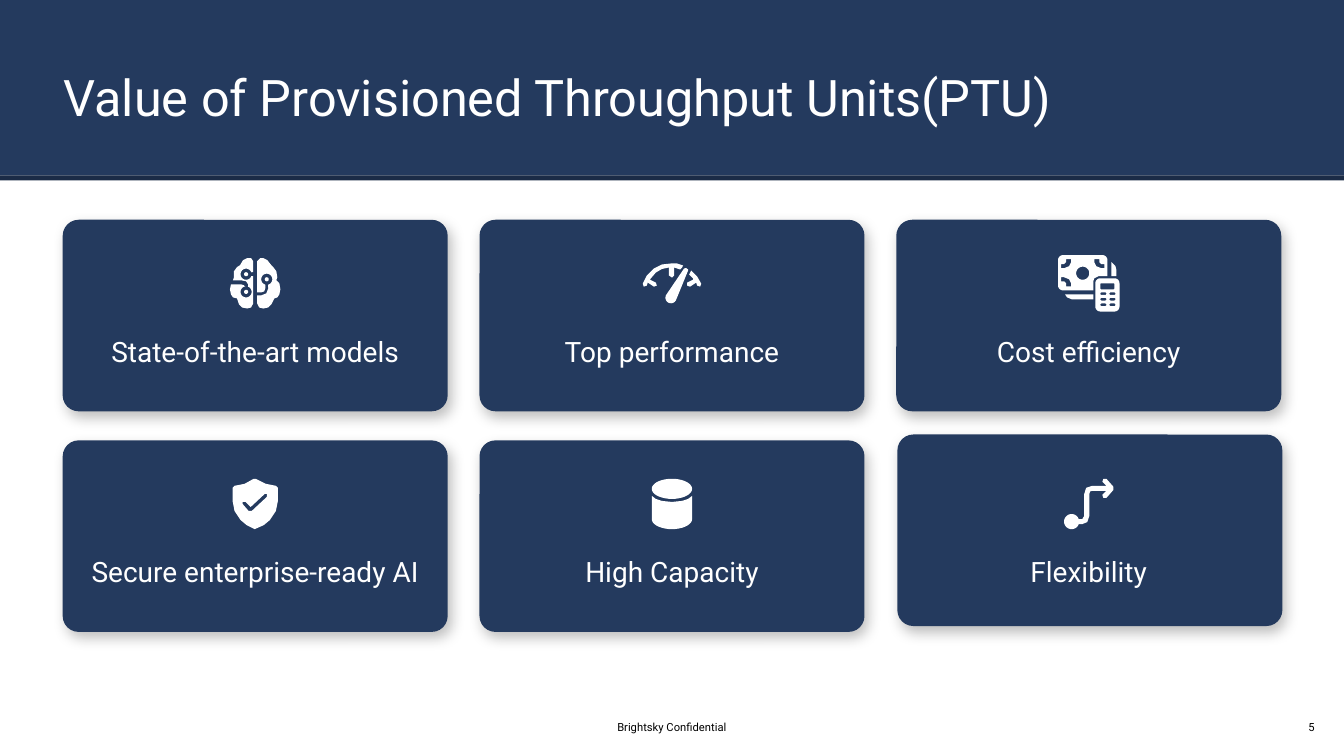
import math

from lxml import etree
from pptx import Presentation
from pptx.dml.color import RGBColor
from pptx.enum import shapes, text
from pptx.oxml import ns
from pptx.util import Pt

COLORS = {"navy": "243A5E", "dark": "1B2B46", "white": "FFFFFF", "black": "000000"}
FONT = "Roboto"
ICON_UNIT = 0.72  # icon outlines are drawn in hundredths of an inch
CARD_WIDTH, CARD_HEIGHT = 275, 136.8
CARD_LEFT, CARD_TOP = 44.8, 157
COLUMN_STEP, ROW_STEP = 297.7, 157.6
LAST_CARD_SHIFT = (0.8, -4.2)


def arc(cx, cy, rx, ry=None, start=0, end=360):
    """Points along an ellipse; angles in degrees, clockwise from the right."""
    ry = ry or rx
    steps = max(4, round(abs(end - start) / 10))
    angles = [math.radians(start + (end - start) * i / steps) for i in range(steps + 1)]
    return [(cx + rx * math.cos(a), cy + ry * math.sin(a)) for a in angles]


def rounded(x, y, width, height, r):
    return (arc(x + r, y + r, r, start=180, end=270)
            + arc(x + width - r, y + r, r, start=270, end=360)
            + arc(x + width - r, y + height - r, r, start=0, end=90)
            + arc(x + r, y + height - r, r, start=90, end=180))


def brain():
    left = ([(21, 0), (23, 3), (23, 14), (21, 14)] + arc(16, 16, 5.5, start=-20, end=-340)
            + [(23, 18), (23, 45), (21, 49), (17, 50), (12, 49), (9, 46), (7, 40), (3, 39),
               (1, 36), (0, 31), (1, 26), (11, 26), (14, 27), (15, 29)]
            + arc(16, 33.5, 5.5, start=-100, end=-430)
            + [(18, 26), (16, 23), (11, 22), (3, 22), (4, 19), (4, 13), (7, 9), (10, 7),
               (13, 2), (17, 0)])
    right = ([(27, 37), (31, 37), (36, 35), (38, 30)] + arc(36.5, 21, 5.5, start=75, end=-255)
             + [(35, 30), (34, 33), (31, 34), (27, 34), (27, 3), (30, 0), (33, 0), (37, 2),
                (41, 7), (43, 9), (46, 13), (47, 19), (46, 22), (49, 25), (50, 31), (49, 36),
                (47, 39), (44, 40), (41, 46), (38, 49), (33, 50), (29, 49), (27, 45)])
    return [left, right, arc(16, 16, 2), arc(16, 33.5, 2), arc(36.5, 21, 2)]


def gauge():
    needle = [(42, 5), (44, 4.5), (46, 6), (46, 7)] + arc(29, 34, 5.5, start=20, end=215)
    right_tick = [(49, 7), (55, 13), (59, 20), (58, 23), (55, 22), (54, 19), (48, 23),
                  (45, 22), (45, 19), (51, 16), (51, 15), (47, 11)]
    dial = [(41, 2), (40, 4), (38, 6), (32, 4), (32, 12), (30, 14), (27, 12), (27, 4),
            (20, 5.5), (14, 9), (8, 16), (14, 19), (15, 22), (12, 23), (6, 19), (5, 22),
            (2, 23), (1, 20), (5, 12), (12, 5), (20, 1), (29, 0), (35, 0)]
    return [needle, right_tick, dial]


def cash():
    note = (arc(5, 5, 5, start=180, end=270) + arc(44, 5, 5, start=270, end=360)
            + [(49, 21), (40, 21), (36, 23), (35, 26), (35, 35)]
            + arc(5, 30, 5, start=90, end=180))
    corner = [(8, 4), (8, 7), (6, 9), (3, 9), (3, 13), (6, 13), (11, 11), (13, 7), (13, 4)]
    corners = [corner, [(49 - x, y) for x, y in corner], [(x, 35 - y) for x, y in corner]]
    under_notes = [[(7, 39), (35, 39), (35, 44), (14, 44), (9, 42)],
                   [(53, 7), (57, 11), (58, 15), (58, 21), (53, 21)]]
    keys = [rounded(x, y, 6, 2.6, 1.3) for y in (37, 42.5, 48) for x in (42, 51)]
    calculator = [rounded(37, 23, 24, 33, 5), rounded(42, 28, 14, 6, 1)]
    return [note, arc(24.5, 18, 6.5)] + corners + under_notes + calculator + keys


def shield():
    outline = [(43, 7), (33, 5), (23, 0), (21, 0), (12, 5), (2, 7), (0, 9), (0, 22), (2, 32),
               (8, 41), (14, 46), (22, 50), (31, 46), (37, 41), (43, 32), (45, 22), (45, 9)]
    check = [(34, 18), (19, 32), (16, 32), (10, 25), (10, 23), (13, 23), (18, 28), (32, 15),
             (34, 15)]
    return [outline, check]


def cylinder():
    body = ([(40, 17)] + arc(20, 40, 20, 10, 0, 180)
            + [(0, 17), (4, 20), (10, 22), (20, 23), (30, 22), (36, 20)])
    return [arc(20, 10, 20, 10), body]


def route():
    return [[(42, 0), (39, 0), (38, 3), (42, 7), (28, 7), (22, 9), (20, 15), (20, 37), (18, 40),
             (15, 40)] + arc(7.5, 42.5, 7.5, start=-20, end=-340)
            + [(18, 45), (23, 43), (25, 37), (25, 15), (26, 12.5), (28, 12), (42, 12), (38, 16),
               (39, 19), (42, 19), (49, 11), (49, 8)]]


CARDS = [("State-of-the-art models", brain), ("Top performance", gauge),
         ("Cost efficiency", cash), ("Secure enterprise-ready AI", shield),
         ("High Capacity", cylinder), ("Flexibility", route)]


def rgb(color):
    return RGBColor.from_string(COLORS[color])


def paint(shape, color):
    shape.shadow.inherit = False
    shape.fill.solid()
    shape.fill.fore_color.rgb = rgb(color)
    shape.line.fill.background()


def add_block(page, kind, left, top, width, height, color):
    block = page.shapes.add_shape(kind, Pt(left), Pt(top), Pt(width), Pt(height))
    paint(block, color)
    return block


def write(box, words, size, color, align, anchor=text.MSO_ANCHOR.TOP):
    frame = box.text_frame
    frame.word_wrap = True
    frame.auto_size = text.MSO_AUTO_SIZE.NONE
    frame.vertical_anchor = anchor
    frame.margin_left = frame.margin_right = frame.margin_top = frame.margin_bottom = 0
    para = frame.paragraphs[0]
    para.alignment = align
    span = para.add_run()
    span.text = words
    span.font.name = FONT
    span.font.size = Pt(size)
    span.font.color.rgb = rgb(color)


def add_label(page, words, left, top, width, height, size, color, anchor=text.MSO_ANCHOR.TOP):
    box = page.shapes.add_textbox(Pt(left), Pt(top), Pt(width), Pt(height))
    write(box, words, size, color, text.PP_ALIGN.CENTER, anchor)


def add_icon(page, contours, center_x, center_y):
    """Draw all contours as one white outline, centred on the given place."""
    xs, ys = zip(*[point for contour in contours for point in contour])
    mid_x, mid_y = (min(xs) + max(xs)) / 2, (min(ys) + max(ys)) / 2
    builder = None
    for contour in contours:
        points = [(Pt(center_x + (x - mid_x) * ICON_UNIT), Pt(center_y + (y - mid_y) * ICON_UNIT))
                  for x, y in contour]
        if builder is None:
            builder = page.shapes.build_freeform(*points[0])
        else:
            builder.move_to(*points[0])
        builder.add_line_segments(points[1:], close=True)
    paint(builder.convert_to_shape(), "white")


def add_shadow(shape):
    effects = shape.element.spPr.find(ns.qn("a:effectLst"))
    shadow = etree.SubElement(effects, ns.qn("a:outerShdw"), blurRad=str(Pt(10)),
                              dist=str(Pt(5)), dir="3600000", algn="ctr", rotWithShape="0")
    color = etree.SubElement(shadow, ns.qn("a:srgbClr"), val=COLORS["black"])
    etree.SubElement(color, ns.qn("a:alpha"), val="25000")


def add_card(page, left, top, shift, words, icon):
    card = add_block(page, shapes.MSO_SHAPE.ROUNDED_RECTANGLE, left + shift[0], top + shift[1],
                     CARD_WIDTH, CARD_HEIGHT, "navy")
    card.adjustments[0] = 0.083
    add_shadow(card)
    add_icon(page, icon(), left + CARD_WIDTH / 2, top + 45.4)
    add_label(page, words, left + 15, top + 81.8, CARD_WIDTH - 30, 24.5, 20, "white")


def add_header(page, words):
    add_block(page, shapes.MSO_SHAPE.RECTANGLE, 0, 0, 960, 125.3, "navy")
    add_block(page, shapes.MSO_SHAPE.RECTANGLE, 0, 125.3, 960, 3.6, "dark")
    title = page.shapes.title
    title.left, title.top, title.width, title.height = Pt(45.4), Pt(47.5), Pt(867.6), Pt(44)
    write(title, words, 36, "white", text.PP_ALIGN.LEFT)
    page.shapes.element.append(title.element)  # bring the title in front of the band


def main():
    deck = Presentation()
    deck.slide_width, deck.slide_height = Pt(960), Pt(540)
    page = deck.slides.add_slide(deck.slide_layouts.get_by_name("Title Only"))
    add_header(page, "Value of Provisioned Throughput Units(PTU)")
    middle = text.MSO_ANCHOR.MIDDLE
    add_label(page, "Brightsky Confidential", 318, 514.8, 324, 9.4, 8, "black", middle)
    add_label(page, "5", 921, 514.8, 31.7, 9.4, 8, "black", middle)
    for index, (words, icon) in enumerate(CARDS):
        row, column = divmod(index, 3)
        shift = LAST_CARD_SHIFT if index == len(CARDS) - 1 else (0, 0)
        add_card(page, CARD_LEFT + column * COLUMN_STEP, CARD_TOP + row * ROW_STEP,
                 shift, words, icon)
    deck.save("out.pptx")


if __name__ == "__main__":
    main()
